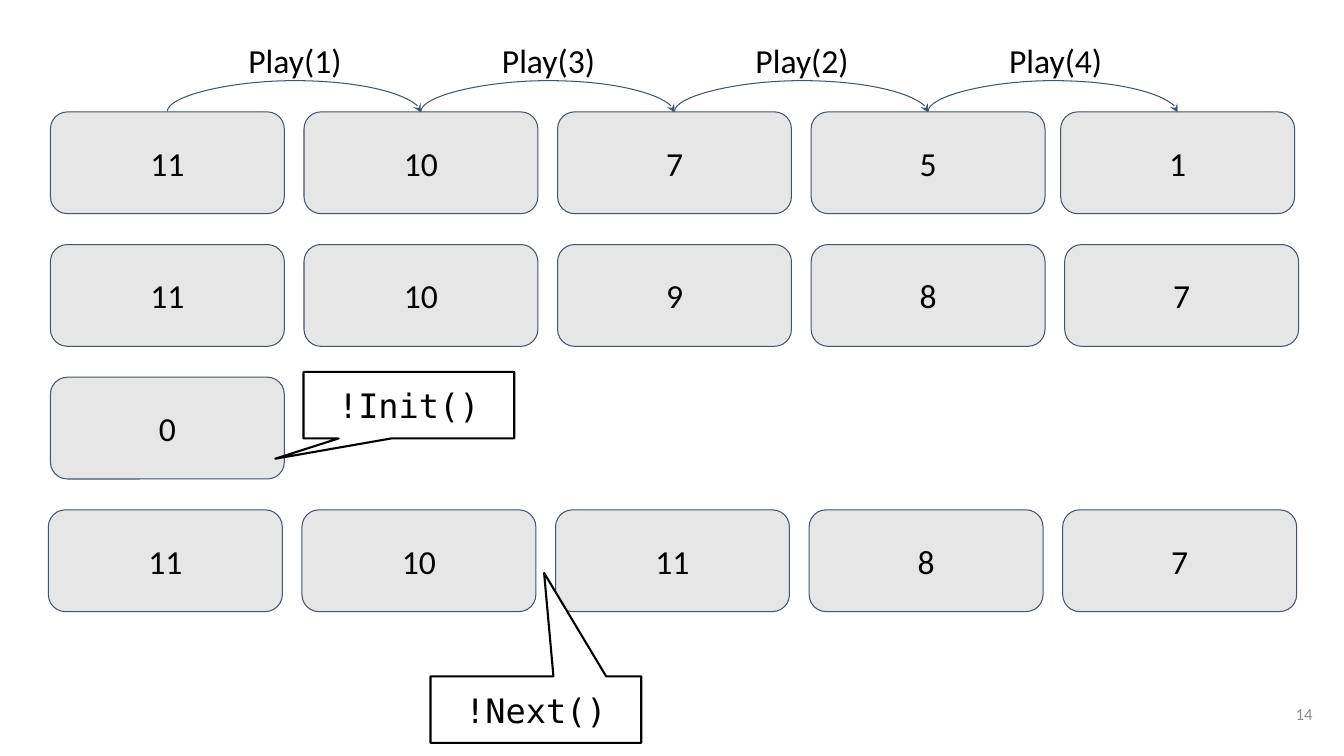
from lxml import etree
from pptx import Presentation
from pptx.dml.color import RGBColor
from pptx.enum.shapes import MSO_CONNECTOR, MSO_SHAPE
from pptx.enum.text import MSO_ANCHOR, PP_ALIGN
from pptx.oxml.ns import qn
from pptx.util import Inches, Pt

ROUND = MSO_SHAPE.ROUNDED_RECTANGLE
CALLOUT = MSO_SHAPE.RECTANGULAR_CALLOUT
CURVE = MSO_CONNECTOR.CURVE
TOP, MIDDLE = MSO_ANCHOR.TOP, MSO_ANCHOR.MIDDLE
CENTER, RIGHT = PP_ALIGN.CENTER, PP_ALIGN.RIGHT

COLORS = {"box": "E7E6E6", "edge": "44546A", "ink": "000000",
          "paper": "FFFFFF", "muted": "8C8C8C"}
SANS, MONO = "Calibri", "DejaVu Sans Mono"

BOX_W, BOX_H, STEP = 2.32, 1.01, 2.515
LEFT, ROW_TOP, ROW_STEP = 0.5, 1.11, 1.316
ROWS = [
    (LEFT, ["11", "10", "7", "5", "1"]),
    (LEFT, ["11", "10", "9", "8", "7"]),
    (LEFT, ["0"]),
    (LEFT - 0.02, ["11", "10", "11", "8", "7"]),
]
PLAYS = ["Play(1)", "Play(3)", "Play(2)", "Play(4)"]
LAST_SHIFT = -0.04  # the last box of the first row sits a little closer


def color(name):
    return RGBColor.from_string(COLORS[name])


class Board:
    """Holds the text style and the slide being drawn."""

    def __init__(self, slide):
        self.shapes = slide.shapes
        self.size = 24

    def put_text(self, shape, text, inset=0.13, anchor=MIDDLE, align=CENTER,
                 font=SANS, size=None, ink="ink"):
        frame = shape.text_frame
        sides = ("left", "right", "top", "bottom")
        form = {f"margin_{side}": Inches(inset) for side in sides}
        form.update(word_wrap=True, vertical_anchor=anchor)
        for key, value in form.items():
            setattr(frame, key, value)
        line = frame.paragraphs[0]
        line.alignment = align
        run = line.add_run()
        run.text = text
        for key, value in {"name": font, "size": Pt(size or self.size)}.items():
            setattr(run.font, key, value)
        run.font.color.rgb = color(ink)

    def label(self, text, x, y, w, h, **form):
        box = self.shapes.add_textbox(*map(Inches, (x, y, w, h)))
        self.put_text(box, text, **form)

    def shape(self, kind, area, fill, edge, width, adjust):
        shape = self.shapes.add_shape(kind, *map(Inches, area))
        shape.shadow.inherit = False
        shape.fill.solid()
        shape.fill.fore_color.rgb = color(fill)
        shape.line.color.rgb = color(edge)
        shape.line.width = Pt(width)
        for i, value in enumerate(adjust):
            shape.adjustments[i] = value
        return shape

    def state(self, text, x, y):
        box = self.shape(ROUND, (x, y, BOX_W, BOX_H), "box", "edge", 0.75, [0.167])
        self.put_text(box, text, inset=0)

    def callout(self, text, x, y, tip):
        box = self.shape(CALLOUT, (x, y, 2.09, 0.66), "paper", "ink", 1.5, tip)
        self.put_text(box, text, font=MONO)

    def arc(self, start, end, y, rise=0.31):
        """Arch from start to end: an upright curve turned by 270 degrees."""
        mid, half, thin = (start + end) / 2, (end - start) / 2, 0.01
        ends = (mid + thin / 2, y - half, mid - thin / 2, y + half)
        arc = self.shapes.add_connector(CURVE, *map(Inches, ends))
        arc.line.color.rgb = color("edge")
        arc.line.width = Pt(0.75)
        props = arc._element.spPr
        props.find(qn("a:xfrm")).set("rot", str(270 * 60000))
        guides = props.find(qn("a:prstGeom")).find(qn("a:avLst"))
        bend = round(-rise / thin * 100000)
        etree.SubElement(guides, qn("a:gd"), name="adj1", fmla=f"val {bend}")
        etree.SubElement(props.find(qn("a:ln")), qn("a:tailEnd"), type="stealth")
        etree.SubElement(props, qn("a:effectLst"))


def main():
    deck = Presentation()
    deck.slide_width, deck.slide_height = Inches(13.33), Inches(7.5)
    board = Board(deck.slides.add_slide(deck.slide_layouts[6]))

    for row, (left, values) in enumerate(ROWS):
        for col, value in enumerate(values):
            shift = LAST_SHIFT if (row, col) == (0, 4) else 0
            board.state(value, left + col * STEP + shift, ROW_TOP + row * ROW_STEP)

    first = LEFT + BOX_W / 2
    for i, play in enumerate(PLAYS):
        start = first + i * STEP
        shift = LAST_SHIFT if i == len(PLAYS) - 1 else 0
        board.arc(start, start + STEP + shift, ROW_TOP)
        board.label(play, start + 0.51, 0.27, 1.51, 0.62, anchor=TOP)

    board.callout("!Init()", 3.01, 3.69, [-0.634, 0.805])
    board.callout("!Next()", 4.27, 6.71, [0.039, -2.055])
    board.label("14", 12.35, 6.8, 0.8, 0.57, align=RIGHT, size=12, ink="muted")
    deck.save("out.pptx")


if __name__ == "__main__":
    main()
